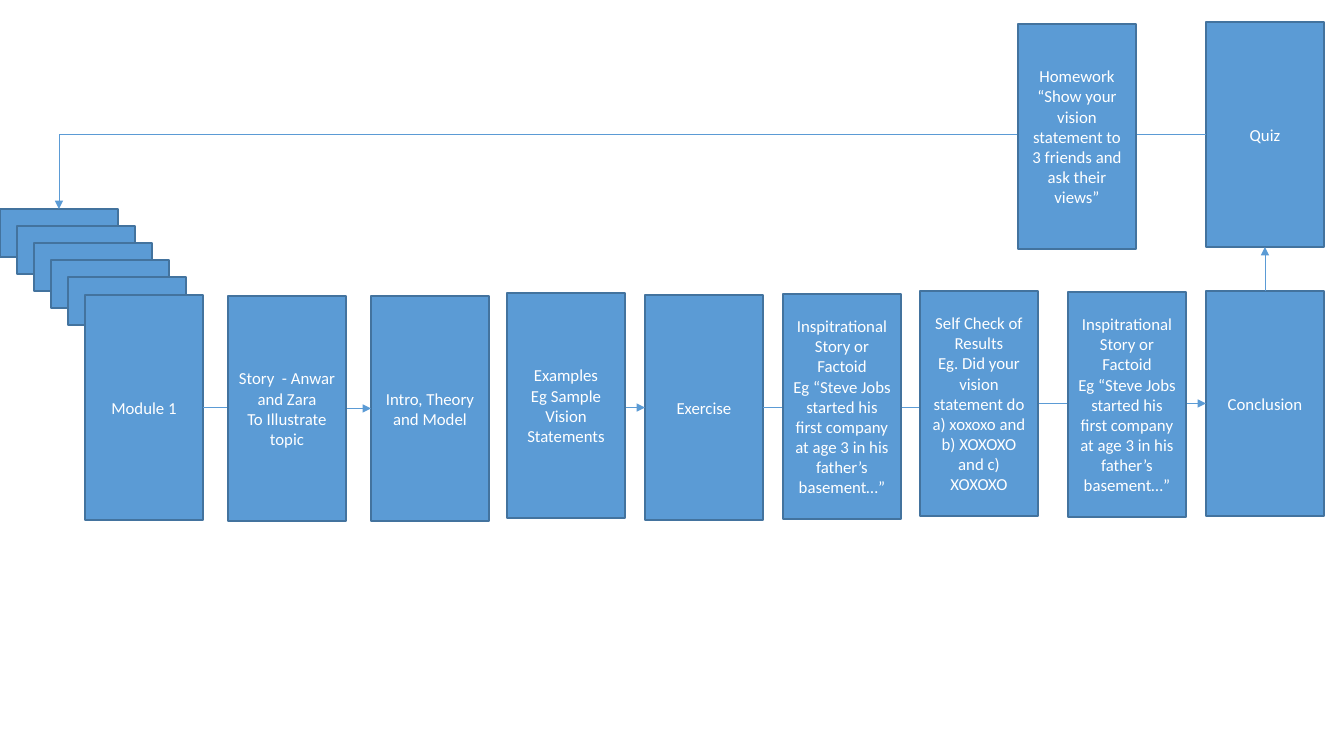
from lxml import etree
from pptx import Presentation
from pptx.dml.color import RGBColor
from pptx.enum.shapes import MSO_CONNECTOR as Link, MSO_SHAPE as Shape
from pptx.enum.text import MSO_ANCHOR as Anchor, PP_ALIGN as Align
from pptx.oxml.ns import qn
from pptx.util import Pt

PAGE_W, PAGE_H = 1344, 756
BOX_W, BOX_H = 118, 225
STACK_COUNT, STACK_TOP, STACK_STEP, STACK_H = 5, 209, 17, 48
FILL, BORDER, TEXT = "5B9BD5", "43739E", "FFFFFF"
TOP, LEFT, BOTTOM, RIGHT = range(4)  # connection sites of a rectangle

MODULE = ["Module 1"]
INSPIRATION = [
    "Inspitrational Story or Factoid",
    "Eg “Steve Jobs started his first company at age 3 in his father’s basement…”",
]

# Left, top and paragraphs: boxes the arrows join, then boxes lying over the arrows
JOINED_BOXES = {
    "module": (85, 295, MODULE),
    "intro": (371, 296, ["Intro, Theory and Model"]),
    "exercise": (645, 295, ["Exercise"]),
    "conclusion": (1206, 291, ["Conclusion"]),
    "quiz": (1206, 22, ["Quiz"]),
}
COVERING_BOXES = [
    (228, 296, ["Story  - Anwar and Zara", "To Illustrate topic"]),
    (1068, 292, INSPIRATION),
    (783, 294, INSPIRATION),
    (1018, 24, ["Homework", "“Show your vision statement to 3 friends and ask their views”"]),
    (507, 293, ["Examples", "Eg Sample Vision Statements"]),
    (920, 291, [
        "Self Check of Results",
        "Eg. Did your vision statement do a) xoxoxo and b) XOXOXO and c) XOXOXO",
    ]),
]
EXAMPLES_EXIT = (606, 407)
# Start box and site, end box and site, connector type
ARROWS = [
    ("module", RIGHT, "intro", LEFT, Link.ELBOW),
    (None, None, "exercise", LEFT, Link.ELBOW),
    ("exercise", RIGHT, "conclusion", LEFT, Link.ELBOW),
    ("conclusion", TOP, "quiz", BOTTOM, Link.STRAIGHT),
    ("quiz", LEFT, "first module", TOP, Link.ELBOW),
]


def px(length):
    return round(length * 914400 / 100.8)


def color(value):
    return RGBColor.from_string(value)


def add_box(page, left, top, paragraphs, height=BOX_H):
    box = page.shapes.add_shape(Shape.RECTANGLE, px(left), px(top), px(BOX_W), px(height))
    box.shadow.inherit = False
    box.fill.solid()
    box.fill.fore_color.rgb = color(FILL)
    box.line.color.rgb = color(BORDER)
    box.line.width = Pt(1)
    frame = box.text_frame
    frame.word_wrap = True
    frame.vertical_anchor = Anchor.MIDDLE
    for index, text in enumerate(paragraphs):
        para = frame.paragraphs[0] if index == 0 else frame.add_paragraph()
        para.text = text
        para.alignment = Align.CENTER
        para.font.name = "Calibri"
        para.font.size = Pt(12)
        para.font.color.rgb = color(TEXT)
    return box


def add_arrow(page, start, start_site, end, end_site, link):
    """Join two boxes; without a start box the arrow leaves EXAMPLES_EXIT."""
    x, y = map(px, EXAMPLES_EXIT)
    arrow = page.shapes.add_connector(link, x, y, x, y)
    if start is not None:
        arrow.begin_connect(start, start_site)
    arrow.end_connect(end, end_site)
    arrow.line.color.rgb = color(FILL)
    arrow.line.width = Pt(0.5)
    properties = arrow.element.spPr
    if (start_site, end_site) == (LEFT, TOP):
        properties.find(qn("a:prstGeom")).set("prst", "bentConnector2")
    etree.SubElement(properties.find(qn("a:ln")), qn("a:tailEnd"), type="triangle")
    etree.SubElement(properties, qn("a:effectLst"))


def main():
    deck = Presentation()
    deck.slide_width, deck.slide_height = px(PAGE_W), px(PAGE_H)
    page = deck.slides.add_slide(deck.slide_layouts[6])

    stack = [
        add_box(page, i * STACK_STEP, STACK_TOP + i * STACK_STEP, MODULE, STACK_H)
        for i in range(STACK_COUNT)
    ]
    boxes = {name: add_box(page, *box) for name, box in JOINED_BOXES.items()}
    boxes["first module"] = stack[0]
    for start, start_site, end, end_site, link in ARROWS:
        add_arrow(page, boxes.get(start), start_site, boxes[end], end_site, link)
    for box in COVERING_BOXES:
        add_box(page, *box)

    deck.save("out.pptx")


if __name__ == "__main__":
    main()
